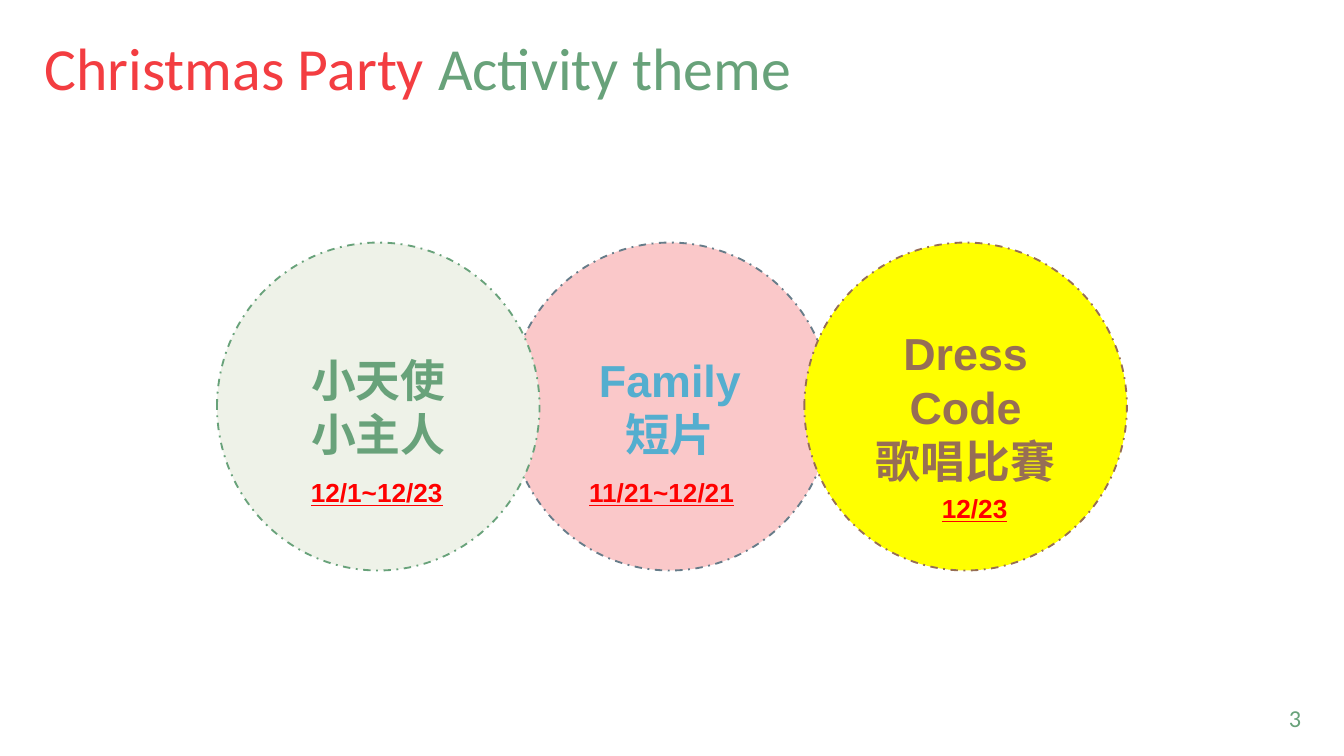
from pptx import Presentation
from pptx.dml.color import RGBColor
from pptx.enum.dml import MSO_LINE
from pptx.enum.shapes import MSO_SHAPE
from pptx.enum.text import MSO_ANCHOR, MSO_AUTO_SIZE, PP_ALIGN
from pptx.util import Emu, Pt

EMU_PER_PX = 4572  # 200 px to the inch
GREEN, RED, BROWN = "68A27A", "FF0000", "976E55"


def px(n):
    return Emu(n * EMU_PER_PX)


def rgb(value):
    return RGBColor.from_string(value)


class Deck:
    def __init__(self, prs):
        self.slide = prs.slides.add_slide(prs.slide_layouts[5])

    def frame(self, sp, anchor, side, top):
        """Set wrapping, anchor and insets of a shape's text."""
        tf = sp.text_frame
        tf.word_wrap = True
        tf.auto_size = MSO_AUTO_SIZE.NONE
        tf.vertical_anchor = anchor
        tf.margin_left = tf.margin_right = px(side)
        tf.margin_top = tf.margin_bottom = px(top)
        return tf

    def font(self, r, size, color, name="Arial", bold=False, underline=False):
        r.font.name, r.font.size = name, Pt(size)
        r.font.color.rgb = rgb(color)
        r.font.bold, r.font.underline = bold, underline

    def title(self, x, y, w, h, parts):
        """Fill the title with (text, colour) parts on one line."""
        sp = self.slide.shapes.title
        sp.left, sp.top, sp.width, sp.height = map(px, (x, y, w, h))
        p = self.frame(sp, MSO_ANCHOR.MIDDLE, 0, 0).paragraphs[0]
        p.alignment, p.line_spacing = PP_ALIGN.LEFT, 0.9
        for text, color in parts:
            r = p.add_run()
            r.text = text
            self.font(r, 32, color, "Calibri")

    def circle(self, x, y, w, h, lines, fill, line, color):
        sp = self.slide.shapes.add_shape(MSO_SHAPE.OVAL, *map(px, (x, y, w, h)))
        sp.shadow.inherit = False
        sp.fill.solid()
        sp.fill.fore_color.rgb = rgb(fill)
        sp.line.color.rgb = rgb(line)
        sp.line.width = Pt(1)
        sp.line.dash_style = MSO_LINE.DASH_DOT
        tf = self.frame(sp, MSO_ANCHOR.MIDDLE, 20, 20)
        tf.text = "\n".join(lines)
        for p in tf.paragraphs:
            p.alignment = PP_ALIGN.CENTER
            self.font(p.runs[0], 24, color, bold=True)

    def label(self, x, y, w, h, text, size, color, align=PP_ALIGN.LEFT,
              top=10, **style):
        sp = self.slide.shapes.add_textbox(*map(px, (x, y, w, h)))
        tf = self.frame(sp, MSO_ANCHOR.TOP, 20, top)
        tf.text = text
        p = tf.paragraphs[0]
        p.alignment = align
        self.font(p.runs[0], size, color, **style)


def main():
    prs = Presentation()
    prs.slide_width, prs.slide_height = px(2000), px(1125)
    deck = Deck(prs)
    deck.title(66, 56, 1354, 100,
               [("Christmas Party ", "F33D41"), ("Activity theme", GREEN)])

    # The middle circle comes first so that its neighbours overlap it.
    circles = [
        (757, ["Family", "短片"], "FAC8C9", "667C89", "54AECF"),
        (323, ["小天使", "小主人"], "EEF2E8", GREEN, GREEN),
        (1197, ["Dress Code", "歌唱比賽"], "FFFF00", BROWN, BROWN),
    ]
    for x, lines, fill, line, color in circles:
        deck.circle(x, 361, 480, 488, lines, fill, line, color)

    deck.label(1836, 1027, 120, 58, "3", 13, GREEN, PP_ALIGN.RIGHT, 20,
               name="Calibri")

    dates = [
        (443, 699, 266, "12/1~12/23"),
        (857, 699, 286, "11/21~12/21"),
        (1382, 723, 150, "12/23"),
    ]
    for x, y, w, text in dates:
        deck.label(x, y, w, 68, text, 14, RED, bold=True, underline=True)

    prs.save("out.pptx")


if __name__ == "__main__":
    main()
